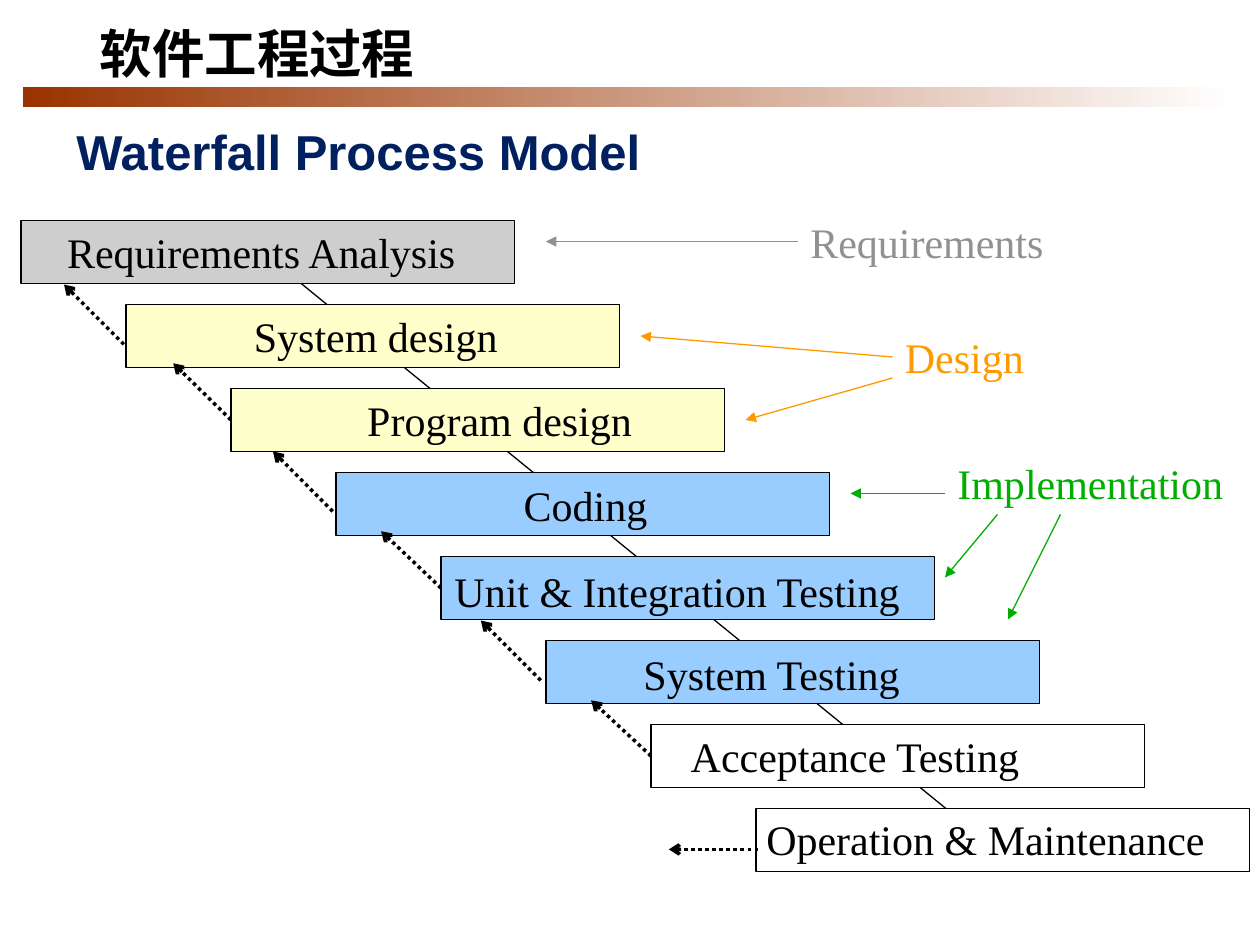
from dataclasses import dataclass
from typing import Optional

from lxml import etree
from pptx import Presentation
from pptx import util as u
from pptx.dml import color
from pptx.enum import dml, shapes, text
from pptx.oxml import ns

PX = 7620


@dataclass(frozen=True)
class Theme:
    ink: str = "000000"
    navy: str = "002060"
    rust: str = "993300"
    white: str = "FFFFFF"
    silver: str = "CECECE"
    cream: str = "FFFFCC"
    sky: str = "99CCFF"
    gray: str = "919191"
    orange: str = "FF9900"
    green: str = "00AE00"
    sans: str = "Arial"
    serif: str = "Times New Roman"
    title: int = 30
    head: int = 28
    body: int = 24
    thin: float = 0.75
    thick: float = 2


T = Theme()


@dataclass(frozen=True)
class Label:
    words: str
    x: int
    y: int
    w: int
    h: int = 60
    hue: str = T.ink
    size: int = T.body
    font: str = T.serif
    bold: bool = False


@dataclass(frozen=True)
class Stage:
    fill: str
    label: Label


@dataclass(frozen=True)
class Line:
    x1: int
    y1: int
    x2: int
    y2: int
    hue: str = T.ink
    width: float = T.thin
    head: Optional[str] = None
    dots: bool = False


@dataclass(frozen=True)
class Back:
    x: int
    y: int
    dy: int = 57
    dx: int = 57
    join: Optional[int] = None


STAGES = [
    Stage(T.silver, Label("Requirements Analysis", 52, 210, 419)),
    Stage(T.cream, Label("System design", 230, 290, 270)),
    Stage(T.cream, Label("Program design", 338, 370, 300)),
    Stage(T.sky, Label("Coding", 487, 451, 150)),
    Stage(T.sky, Label("Unit & Integration Testing", 421, 533, 460)),
    Stage(T.sky, Label("System Testing", 601, 612, 280)),
    Stage(T.white, Label("Acceptance Testing", 646, 690, 390)),
    Stage(T.white, Label("Operation & Maintenance", 718, 769, 470)),
]

GROUPS = [
    Label("Requirements", 760, 200, 310, hue=T.gray),
    Label("Design", 850, 310, 170, hue=T.orange),
    Label("Implementation", 900, 430, 280, hue=T.green),
]

LINKS = [
    Line(760, 230, 520, 230, T.gray, head="triangle"),
    Line(850, 340, 610, 320, T.orange, head="triangle"),
    Line(850, 360, 710, 400, T.orange, head="triangle"),
    Line(900, 470, 810, 470, T.green, head="triangle"),
    Line(950, 490, 900, 550, T.green, head="triangle"),
    Line(1010, 490, 960, 590, T.green, head="triangle"),
]

BACKS = [
    Back(722, 809, dy=0, dx=85),
    Back(620, 724, join=6),
    Back(515, 648),
    Back(420, 563, join=4),
    Back(317, 487),
    Back(222, 403, join=2),
    Back(118, 328),
]


def rgb(hue: str) -> color.RGBColor:
    return color.RGBColor.from_string(hue)


def add_rect(slide, x: int, y: int, w: int, h: int):
    rect = slide.shapes.add_shape(
        shapes.MSO_SHAPE.RECTANGLE, x * PX, y * PX, w * PX, h * PX)
    rect.shadow.inherit = False
    return rect


def add_bar(slide) -> None:
    bar = add_rect(slide, 22, 83, 1153, 19)
    bar.line.fill.background()
    bar.fill.gradient()
    bar.fill.gradient_angle = 0
    for stop, hue in zip(bar.fill.gradient_stops, (T.rust, T.white)):
        stop.color.rgb = rgb(hue)


def add_box(slide, step: int, fill: str):
    box = add_rect(slide, 20 + 100 * step, 210 + 80 * step, 470, 60)
    box.fill.solid()
    box.fill.fore_color.rgb = rgb(fill)
    box.line.color.rgb = rgb(T.ink)
    box.line.width = u.Pt(T.thin)
    return box


def add_label(slide, label: Label):
    frame = slide.shapes.add_textbox(
        label.x * PX, label.y * PX, label.w * PX, label.h * PX).text_frame
    frame.word_wrap = True
    frame.auto_size = text.MSO_AUTO_SIZE.SHAPE_TO_FIT_TEXT
    run = frame.paragraphs[0].add_run()
    run.text = label.words
    run.font.name = label.font
    run.font.size = u.Pt(label.size)
    run.font.bold = label.bold
    run.font.color.rgb = rgb(label.hue)
    return frame


def add_line(slide, line: Line, box=None) -> None:
    link = slide.shapes.add_connector(
        shapes.MSO_CONNECTOR.STRAIGHT,
        line.x1 * PX, line.y1 * PX, line.x2 * PX, line.y2 * PX)
    if box is not None:
        link.begin_connect(box, 1)
    link.line.color.rgb = rgb(line.hue)
    link.line.width = u.Pt(line.width)
    if line.dots:
        link.line.dash_style = dml.MSO_LINE.ROUND_DOT
    props = link._element.spPr
    if line.head:
        etree.SubElement(props.find(ns.qn("a:ln")), ns.qn("a:tailEnd"),
                         type=line.head)
    etree.SubElement(props, ns.qn("a:effectLst"))


def main() -> None:
    deck = Presentation()
    deck.slide_width, deck.slide_height = 1200 * PX, 900 * PX
    slide = deck.slides.add_slide(deck.slide_layouts[6])

    add_bar(slide)
    title = add_label(slide, Label("软件工程过程", 83, 0, 772, 110,
                                   size=T.title, font=T.sans, bold=True))
    title.auto_size = text.MSO_AUTO_SIZE.NONE
    title.vertical_anchor = text.MSO_ANCHOR.MIDDLE
    title.paragraphs[0].line_spacing = 0.85
    add_label(slide, Label("Waterfall Process Model", 61, 110, 828, 68,
                           T.navy, T.head, T.sans, True))

    add_line(slide, Line(250, 240, 950, 810))
    boxes = [add_box(slide, step, stage.fill)
             for step, stage in enumerate(STAGES)]
    for label in [stage.label for stage in STAGES] + GROUPS:
        add_label(slide, label)
    for link in LINKS:
        add_line(slide, link)
    for back in BACKS:
        line = Line(back.x, back.y, back.x - back.dx, back.y - back.dy,
                    width=T.thick, head="arrow", dots=True)
        add_line(slide, line, None if back.join is None else boxes[back.join])

    deck.save("out.pptx")


if __name__ == "__main__":
    main()
